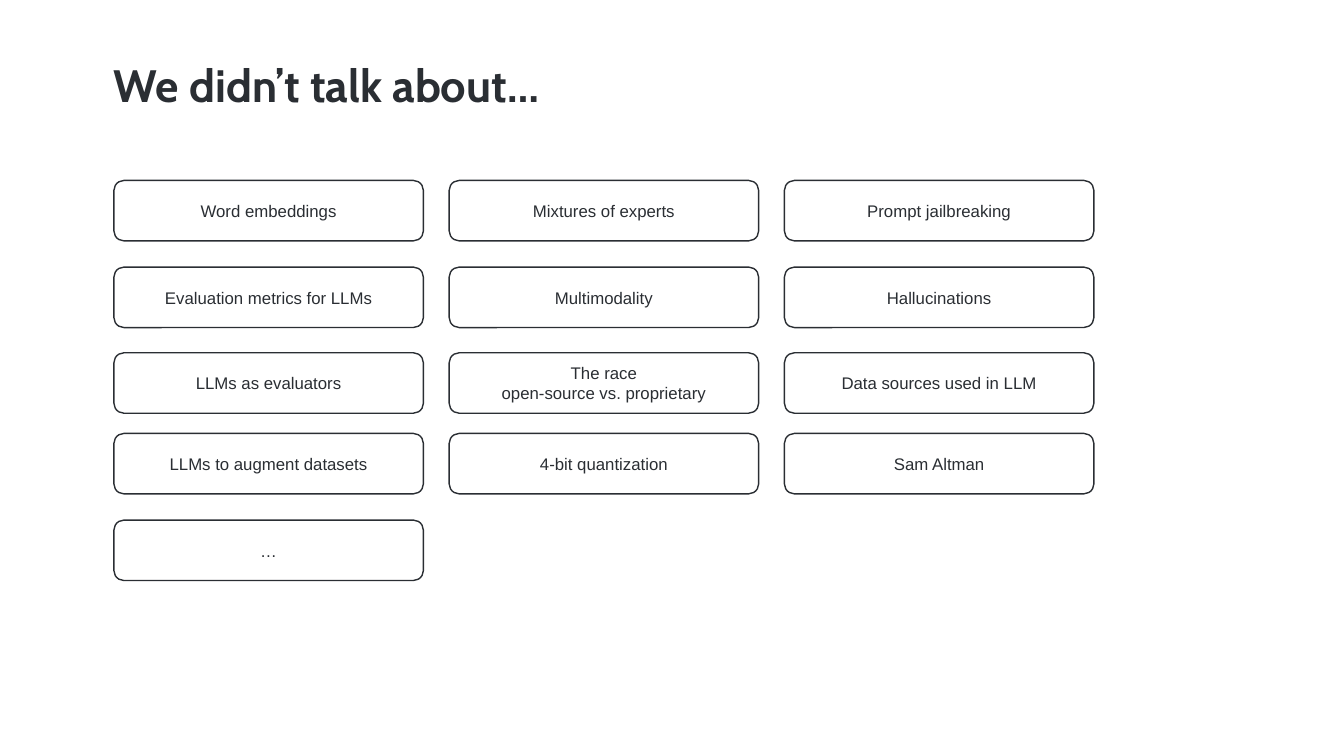
import copy

import pptx
import pptx.dml.color
import pptx.enum.shapes
import pptx.enum.text
import pptx.oxml.ns
import pptx.util

Inches = pptx.util.Inches
INK = pptx.dml.color.RGBColor(0x2A, 0x2E, 0x33)
WHITE = pptx.dml.color.RGBColor(0xFF, 0xFF, 0xFF)

LEFT = 1.13
COLUMN_STEP = 3.325
ROW_TOPS = [1.79, 2.65, 3.5, 4.3, 5.16]
TOPIC_ROWS = [
    ["Word embeddings", "Mixtures of experts", "Prompt jailbreaking"],
    ["Evaluation metrics for LLMs", "Multimodality", "Hallucinations"],
    ["LLMs as evaluators", "The race\vopen-source vs. proprietary", "Data sources used in LLM"],
    ["LLMs to augment datasets", "4-bit quantization", "Sam Altman"],
    ["…"],
]


def write_text(shape, text, *, size, font, bold=False, align=None, line_spacing=None):
    paragraph = shape.text_frame.paragraphs[0]
    paragraph.text = text
    paragraph.alignment = align
    paragraph.line_spacing = line_spacing
    for run in paragraph.runs:
        run.font.size = pptx.util.Pt(size)
        run.font.name = font
        run.font.bold = bold
        run.font.color.rgb = INK
    for line_break in paragraph._p.findall(pptx.oxml.ns.qn("a:br")):
        line_break.append(copy.deepcopy(paragraph.runs[0]._r.rPr))


def add_title(slide, text):
    shape = slide.shapes.add_textbox(Inches(LEFT), Inches(0.63), Inches(11.08), Inches(0.5))
    frame = shape.text_frame
    frame.word_wrap = True
    frame.margin_left = frame.margin_right = frame.margin_top = frame.margin_bottom = 0
    write_text(shape, text, size=32.4, font="Cabin", bold=True, line_spacing=0.9)


def add_topic(slide, left, top, text):
    shape = slide.shapes.add_shape(
        pptx.enum.shapes.MSO_SHAPE.ROUNDED_RECTANGLE,
        Inches(left), Inches(top), Inches(3.07), Inches(0.6),
    )
    shape.shadow.inherit = False
    shape.fill.solid()
    shape.fill.fore_color.rgb = WHITE
    shape.line.color.rgb = INK
    shape.line.width = pptx.util.Pt(1)
    shape.text_frame.word_wrap = True
    shape.text_frame.vertical_anchor = pptx.enum.text.MSO_ANCHOR.MIDDLE
    write_text(shape, text, size=12, font="Arial", align=pptx.enum.text.PP_ALIGN.CENTER)


def main():
    presentation = pptx.Presentation()
    presentation.slide_width = Inches(13.33)
    presentation.slide_height = Inches(7.5)
    slide = presentation.slides.add_slide(presentation.slide_layouts[6])
    add_title(slide, "We didn’t talk about…")
    for top, topics in zip(ROW_TOPS, TOPIC_ROWS):
        for column, topic in enumerate(topics):
            add_topic(slide, LEFT + column * COLUMN_STEP, top, topic)
    presentation.save("out.pptx")


if __name__ == "__main__":
    main()
